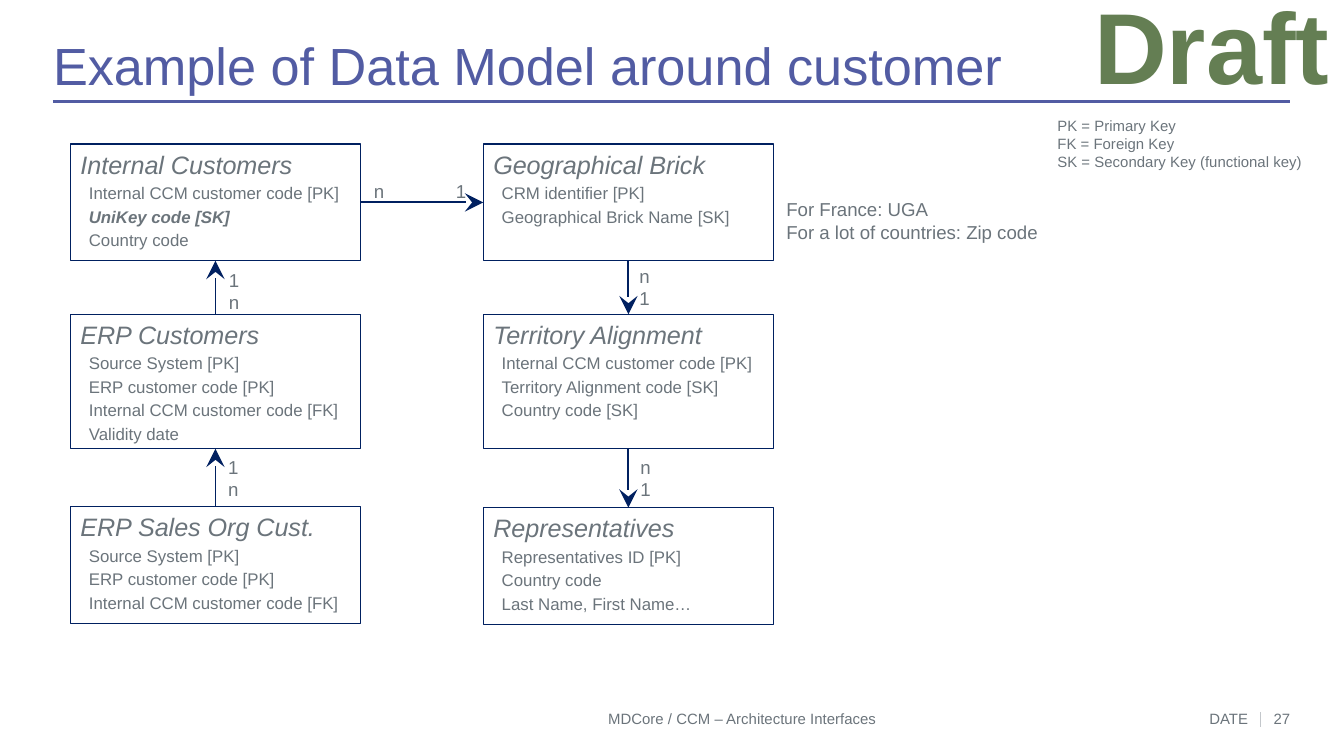
from pptx import Presentation
from pptx.dml.color import RGBColor
from pptx.enum.shapes import MSO_CONNECTOR as Connector, MSO_SHAPE as Preset
from pptx.enum.text import MSO_ANCHOR as Anchor, MSO_AUTO_SIZE as AutoSize, PP_ALIGN as Align
from pptx.oxml.ns import qn
from pptx.util import Pt
from lxml.etree import SubElement

VIOLET = RGBColor(0x52, 0x5C, 0xA3)
NAVY = RGBColor(0x00, 0x20, 0x60)
GRAY = RGBColor(0x6B, 0x74, 0x7B)
LIGHT_GRAY = RGBColor(0xC3, 0xC7, 0xCB)
GREEN = RGBColor(0x64, 0x7E, 0x53)

TOP, LEFT, BOTTOM, RIGHT = range(4)


def write(paragraph, text, *, size=10, color=GRAY, bold=False, italic=False,
          align=Align.LEFT, indent=0, before_percent=0, tab=0):
    """Fill one paragraph with one formatted run."""
    run = paragraph.add_run()
    run.text = text
    font = run.font
    font.name, font.size, font.bold, font.italic = "Arial", Pt(size), bold, italic
    font.color.rgb = color
    paragraph.alignment = align
    properties = paragraph._p.get_or_add_pPr()
    if indent:
        properties.set("marL", str(Pt(indent)))
        properties.set("indent", "0")
    if before_percent:
        spacing = SubElement(properties, qn("a:spcBef"))
        SubElement(spacing, qn("a:spcPct"), val=str(before_percent * 1000))
    if tab:
        tabs = SubElement(properties, qn("a:tabLst"))
        SubElement(tabs, qn("a:tab"), pos=str(Pt(tab)), algn="l")


class DataModelSlide:
    def __init__(self, presentation):
        self.slide = presentation.slides.add_slide(presentation.slide_layouts[5])
        self.shapes = self.slide.shapes

    @staticmethod
    def set_margins(frame, horizontal, vertical):
        frame.margin_left = frame.margin_right = Pt(horizontal)
        frame.margin_top = frame.margin_bottom = Pt(vertical)

    @staticmethod
    def next_paragraph(frame, index):
        return frame.add_paragraph() if index else frame.paragraphs[0]

    def title(self, text, x, y, width, height):
        shape = self.shapes.title
        shape.left, shape.top, shape.width, shape.height = map(Pt, (x, y, width, height))
        frame = shape.text_frame
        self.set_margins(frame, 0, 0)
        frame.vertical_anchor = Anchor.MIDDLE
        frame.auto_size = AutoSize.NONE
        write(frame.paragraphs[0], text, size=28, color=VIOLET)
        frame.paragraphs[0].line_spacing = 0.9

    def text(self, lines, x, y, width, height, margins=(7.2, 3.6), wrap=False, **style):
        shape = self.shapes.add_textbox(Pt(x), Pt(y), Pt(width), Pt(height))
        frame = shape.text_frame
        frame.word_wrap = wrap
        frame.auto_size = AutoSize.SHAPE_TO_FIT_TEXT
        self.set_margins(frame, *margins)
        for index, line in enumerate(lines):
            write(self.next_paragraph(frame, index), line, **style)

    def entity(self, name, fields, x, y, height, key_field=None):
        shape = self.shapes.add_shape(Preset.RECTANGLE, Pt(x), Pt(y), Pt(155.5), Pt(height))
        shape.shadow.inherit = False
        shape.fill.background()
        shape.line.color.rgb = NAVY
        shape.line.width = Pt(0.75)
        frame = shape.text_frame
        frame.word_wrap = True
        frame.vertical_anchor = Anchor.TOP
        self.set_margins(frame, 5.4, 2.7)
        write(frame.paragraphs[0], name, size=13.5, italic=True, before_percent=20)
        for field in fields:
            is_key = field == key_field
            write(frame.add_paragraph(), field, size=9, bold=is_key, italic=is_key,
                  indent=4.5, before_percent=20)
        return shape

    def line(self, x1, y1, x2, y2, color, width):
        connector = self.shapes.add_connector(Connector.STRAIGHT, Pt(x1), Pt(y1), Pt(x2), Pt(y2))
        connector.line.color.rgb = color
        connector.line.width = Pt(width)
        SubElement(connector._element.spPr, qn("a:effectLst"))
        return connector

    def arrow(self, source, source_side, target, target_side):
        connector = self.line(0, 0, 0, 0, NAVY, 1)
        connector.begin_connect(source, source_side)
        connector.end_connect(target, target_side)
        SubElement(connector.line._get_or_add_ln(), qn("a:tailEnd"),
                   type="stealth", w="lg", len="lg")


def main():
    presentation = Presentation()
    presentation.slide_width, presentation.slide_height = Pt(720), Pt(405)
    model = DataModelSlide(presentation)

    # Title and rule
    model.title("Example of Data Model around customer", 28.4, 21.6, 663, 30)
    model.line(28.4, 54.2, 691.2, 54.2, VIOLET, 1.5)

    # Footer
    model.line(675.4, 381.6, 675.4, 389.5, LIGHT_GRAY, 0.5)
    for text, x, width, align in [
        ("DATE", 607.7, 61, Align.RIGHT),
        ("MDCore / CCM – Architecture Interfaces", 174, 447.4, Align.CENTER),
        ("27", 666.7, 24.5, Align.RIGHT),
    ]:
        model.text([text], x, 380.4, width, 9.4, margins=(0, 0), wrap=True, size=8, align=align)

    # Entities in two columns
    left, right = 37.7, 258.9
    customers = model.entity(
        "Internal Customers",
        ["Internal CCM customer code [PK]", "UniKey code [SK]", "Country code"],
        left, 77.2, 62.5, key_field="UniKey code [SK]")
    erp_customers = model.entity(
        "ERP Customers",
        ["Source System [PK]", "ERP customer code [PK]",
         "Internal CCM customer code [FK]", "Validity date"],
        left, 168.4, 72)
    sales_customers = model.entity(
        "ERP Sales Org Cust.",
        ["Source System [PK]", "ERP customer code [PK]", "Internal CCM customer code [FK]"],
        left, 271.4, 62.5)
    brick = model.entity(
        "Geographical Brick", ["CRM identifier [PK]", "Geographical Brick Name [SK]"],
        right, 77.2, 62.5)
    territory = model.entity(
        "Territory Alignment",
        ["Internal CCM customer code [PK]", "Territory Alignment code [SK]", "Country code [SK]"],
        right, 168.4, 72)
    representatives = model.entity(
        "Representatives",
        ["Representatives ID [PK]", "Country code", "Last Name, First Name…"],
        right, 272, 62.5)

    # Relations
    model.arrow(erp_customers, TOP, customers, BOTTOM)
    model.arrow(sales_customers, TOP, erp_customers, BOTTOM)
    model.arrow(customers, RIGHT, brick, LEFT)
    model.arrow(brick, BOTTOM, territory, TOP)
    model.arrow(territory, BOTTOM, representatives, TOP)

    # Cardinalities
    for lines, x, y in [("1n", 115.6, 140.4), ("1n", 115.2, 240.5),
                        ("n1", 335.5, 138.2), ("n1", 336, 240.5)]:
        model.text(lines, x, y, 20, 31.5)
    model.text(["n\t1"], 193.2, 92.9, 66, 19.4, wrap=True, tab=44)

    # Key legend, remark and status
    model.text(["PK = Primary Key", "FK = Foreign Key", "SK = Secondary Key (functional key)"],
               559.4, 59.2, 147, 36, size=8)
    model.text(["For France: UGA", "For a lot of countries: Zip code"], 414.2, 102.5, 150, 31.5)
    model.text(["Draft"], 578.2, -12.2, 141.8, 72.7,
               size=54, color=GREEN, bold=True, align=Align.CENTER)

    presentation.save("out.pptx")


if __name__ == "__main__":
    main()
